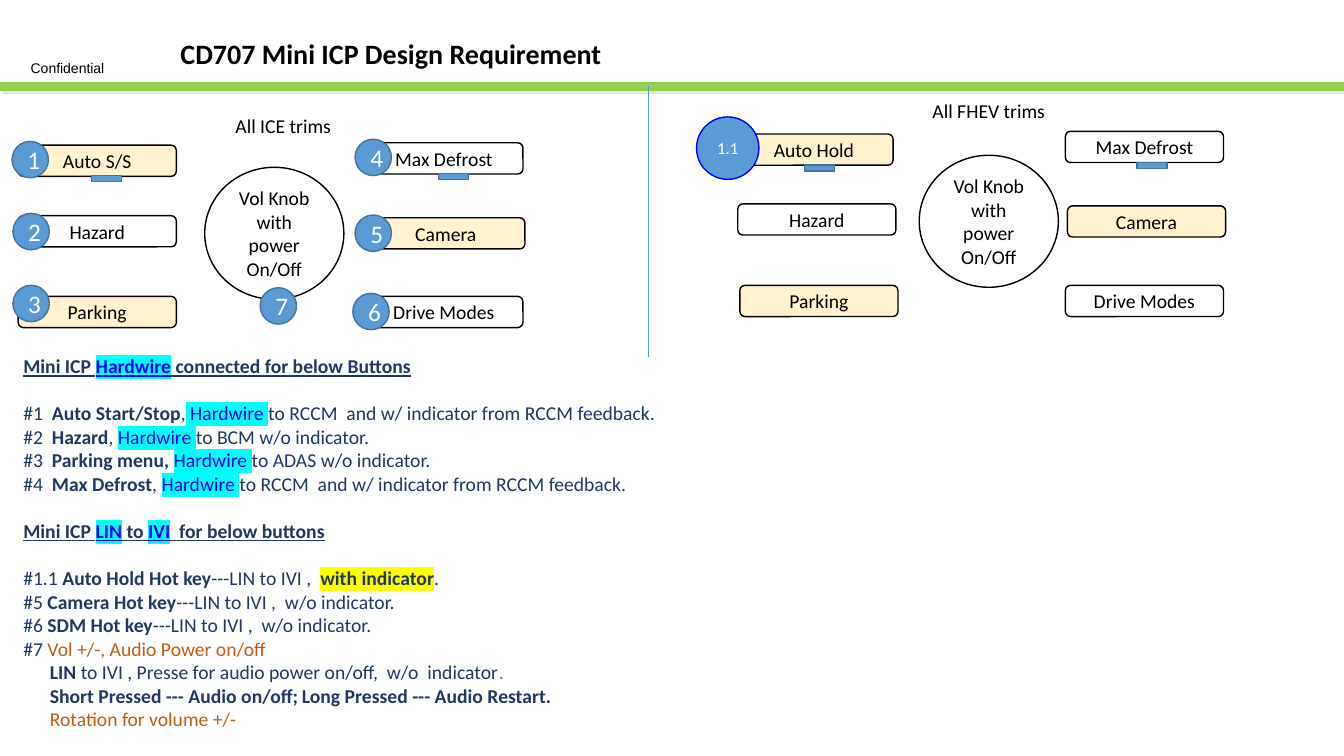
from lxml import etree
from pptx import Presentation
from pptx.dml.color import RGBColor
from pptx.enum import shapes, text
from pptx.oxml import ns
from pptx.util import Pt

COLORS = {
    "black": "000000", "white": "FFFFFF", "green": "92D050", "shade": "E7E6E6",
    "blue": "5B9BD5", "edge": "43739E", "cream": "FFF2CC", "navy": "1F3864",
    "link": "0000FF", "cyan": "00FFFF", "yellow": "FFFF00", "orange": "C55A11",
}
RGB = {name: RGBColor.from_string(value) for name, value in COLORS.items()}
SHAPE = shapes.MSO_SHAPE


def add_run(paragraph, wording, size=14, color="black", bold=False,
            underline=False, highlight=None, font="Calibri"):
    run = paragraph.add_run()
    run.text = wording
    run.font.size = Pt(size)
    run.font.bold = bold
    run.font.underline = underline
    run.font.color.rgb = RGB[color]
    if highlight:
        mark = etree.SubElement(run.font._element, ns.qn("a:highlight"))
        etree.SubElement(mark, ns.qn("a:srgbClr"), val=COLORS[highlight])
    run.font.name = font


def add_figure(kind, left, top, width, height, fill, line,
               wording="", size=14, color="black"):
    shape = slide.shapes.add_shape(kind, Pt(left), Pt(top), Pt(width), Pt(height))
    shape.shadow.inherit = False
    if fill:
        shape.fill.solid()
        shape.fill.fore_color.rgb = RGB[fill]
    else:
        shape.fill.background()
    shape.line.color.rgb = RGB[line]
    shape.line.width = Pt(1)
    if wording:
        shape.text_frame.word_wrap = True
        shape.text_frame.vertical_anchor = text.MSO_ANCHOR.MIDDLE
        paragraph = shape.text_frame.paragraphs[0]
        paragraph.alignment = text.PP_ALIGN.CENTER
        add_run(paragraph, wording, size, color)


presentation = Presentation()
presentation.slide_width, presentation.slide_height = Pt(960), Pt(540)
slide = presentation.slides.add_slide(presentation.slide_layouts[1])
title, body = slide.placeholders

title.left, title.top, title.width, title.height = Pt(121.7), Pt(22.3), Pt(330), Pt(38)
title.text_frame.vertical_anchor = text.MSO_ANCHOR.TOP
title.text_frame.paragraphs[0].alignment = text.PP_ALIGN.LEFT
add_run(title.text_frame.paragraphs[0], "CD707 Mini ICP Design Requirement", 20, bold=True)

for x1, y1, x2, y2, color, width in [
    (0, 62, 960, 62, "green", 6.5),
    (463, 61.2, 463, 254.9, "blue", 0.5),
]:
    connector = slide.shapes.add_connector(
        shapes.MSO_CONNECTOR.STRAIGHT, Pt(x1), Pt(y1), Pt(x2), Pt(y2))
    connector.line.color.rgb = RGB[color]
    connector.line.width = Pt(width)
    effects = etree.SubElement(connector._element.spPr, ns.qn("a:effectLst"))
    if color == "green":
        shadow = etree.SubElement(effects, ns.qn("a:outerShdw"),
                                  dist=str(Pt(2.8)), dir="2700000")
        etree.SubElement(shadow, ns.qn("a:srgbClr"), val=COLORS["shade"])

for wording, left, top, width, size, font in [
    ("Confidential", 4.3, 38.9, 87.8, 10, "Arial"),
    ("All ICE trims", 160.6, 77.8, 83.5, 14, "Calibri"),
    ("All FHEV trims", 656.6, 67, 99.4, 14, "Calibri"),
]:
    label = slide.shapes.add_textbox(Pt(left), Pt(top), Pt(width), Pt(24))
    label.text_frame.word_wrap = True
    label.text_frame.paragraphs[0].alignment = text.PP_ALIGN.CENTER
    add_run(label.text_frame.paragraphs[0], wording, size, font=font)

for left, top in [(146.2, 119.5), (656.6, 110.9)]:
    add_figure(SHAPE.OVAL, left, top, 99.4, 94.3, "white", "black",
               "Vol Knob with power On/Off")

for wording, left, top, fill in [
    ("Auto S/S", 13, 103.7, "cream"),
    ("Hazard", 13, 154, None),
    ("Parking", 13, 211.7, "cream"),
    ("Max Defrost", 260.6, 102, None),
    ("Camera", 262, 155.5, "cream"),
    ("Drive Modes", 260.6, 211.7, None),
    ("Auto Hold", 525, 95.7, "cream"),
    ("Hazard", 527, 145.6, None),
    ("Parking", 528.5, 203.8, "cream"),
    ("Max Defrost", 761, 93.8, None),
    ("Camera", 762.5, 147, "cream"),
    ("Drive Modes", 761, 203.8, None),
]:
    add_figure(SHAPE.ROUNDED_RECTANGLE, left, top, 113, 22.3, fill, "black", wording)

for left, top in [(65.5, 125.5), (313.2, 124), (574.6, 118), (812.2, 116)]:
    add_figure(SHAPE.RECTANGLE, left, top, 21.4, 4.3, "blue", "edge")

badges = [(8.6, 101), (9.2, 152.4), (9.2, 203.8), (253.6, 99.4),
          (253.6, 153.6), (252, 209.5), (185.8, 205.5)]
for number, (left, top) in enumerate(badges, 1):
    add_figure(SHAPE.OVAL, left, top, 26, 26, "blue", "edge", str(number), 18, "white")
add_figure(SHAPE.OVAL, 497.5, 83.5, 44.6, 44.6, "blue", "link", "1.1", 12, "white")

PLAIN = {"color": "navy"}
BOLD = {"color": "navy", "bold": True}
HEAD = {"color": "navy", "bold": True, "underline": True}
HEAD_MARK = {"color": "link", "bold": True, "underline": True, "highlight": "cyan"}
MARK = {"color": "link", "highlight": "cyan"}
ALERT = {"color": "navy", "bold": True, "highlight": "yellow"}
ORANGE = {"color": "orange"}

notes = [
    (0, [("Mini ICP ", HEAD), ("Hardwire", HEAD_MARK),
         (" connected for below Buttons", HEAD)]),
    (0, [("#1  ", PLAIN), ("Auto Start/Stop", BOLD), (",", PLAIN), (" Hardwire ", MARK),
         ("to RCCM  and w/ indicator from RCCM feedback.", PLAIN)]),
    (0, [("#2  ", PLAIN), ("Hazard", BOLD), (", ", PLAIN), ("Hardwire ", MARK),
         ("to BCM w/o indicator.", PLAIN)]),
    (0, [("#3  ", PLAIN), ("Parking menu, ", BOLD), ("Hardwire ", MARK),
         ("to ADAS w/o indicator.", PLAIN)]),
    (0, [("#4  ", PLAIN), ("Max Defrost", BOLD), (", ", PLAIN), ("Hardwire ", MARK),
         ("to RCCM  and w/ indicator from RCCM feedback.", PLAIN)]),
    (0, [("Mini ICP ", HEAD), ("LIN", HEAD_MARK), (" to ", HEAD), ("IVI", HEAD_MARK),
         ("  for below buttons", HEAD)]),
    (0, [("#1.1 ", PLAIN), ("Auto Hold Hot key", BOLD), ("---LIN to IVI ,  ", PLAIN),
         ("with indicator", ALERT), (".", PLAIN)]),
    (0, [("#5 ", PLAIN), ("Camera Hot key", BOLD),
         ("---LIN to IVI ,  w/o indicator.", PLAIN)]),
    (0, [("#6 ", PLAIN), ("SDM Hot key", BOLD),
         ("---LIN to IVI ,  w/o indicator.", PLAIN)]),
    (0, [("#7 ", PLAIN), ("Vol +/-, Audio Power on/off", ORANGE)]),
    (19, [("LIN ", BOLD),
          ("to IVI , Presse for audio power on/off,  w/o  indicator", PLAIN),
          (".", ORANGE)]),
    (19, [("Short Pressed --- Audio on/off;\tLong Pressed --- Audio Restart.", BOLD)]),
    (19, [("Rotation for volume +/-", ORANGE)]),
]
body.left, body.top, body.width, body.height = Pt(9.4), Pt(249.3), Pt(500), Pt(290)
body.text_frame.word_wrap = True
for index, (indent, runs) in enumerate(notes):
    frame = body.text_frame
    paragraph = frame.add_paragraph() if index else frame.paragraphs[0]
    properties = paragraph._p.get_or_add_pPr()
    properties.set("marL", str(Pt(indent)))
    properties.set("indent", "0")
    etree.SubElement(properties, ns.qn("a:buNone"))
    if indent:
        tabs = etree.SubElement(properties, ns.qn("a:tabLst"))
        etree.SubElement(tabs, ns.qn("a:tab"), pos=str(Pt(215.5)), algn="l")
    is_heading = runs[0][1] is HEAD
    paragraph.line_spacing = Pt(16.8)
    paragraph.space_before = Pt(16.8 if is_heading and index else 0)
    paragraph.space_after = Pt(16.8 if is_heading else 0)
    for wording, style in runs:
        add_run(paragraph, wording, **style)

presentation.save("out.pptx")
